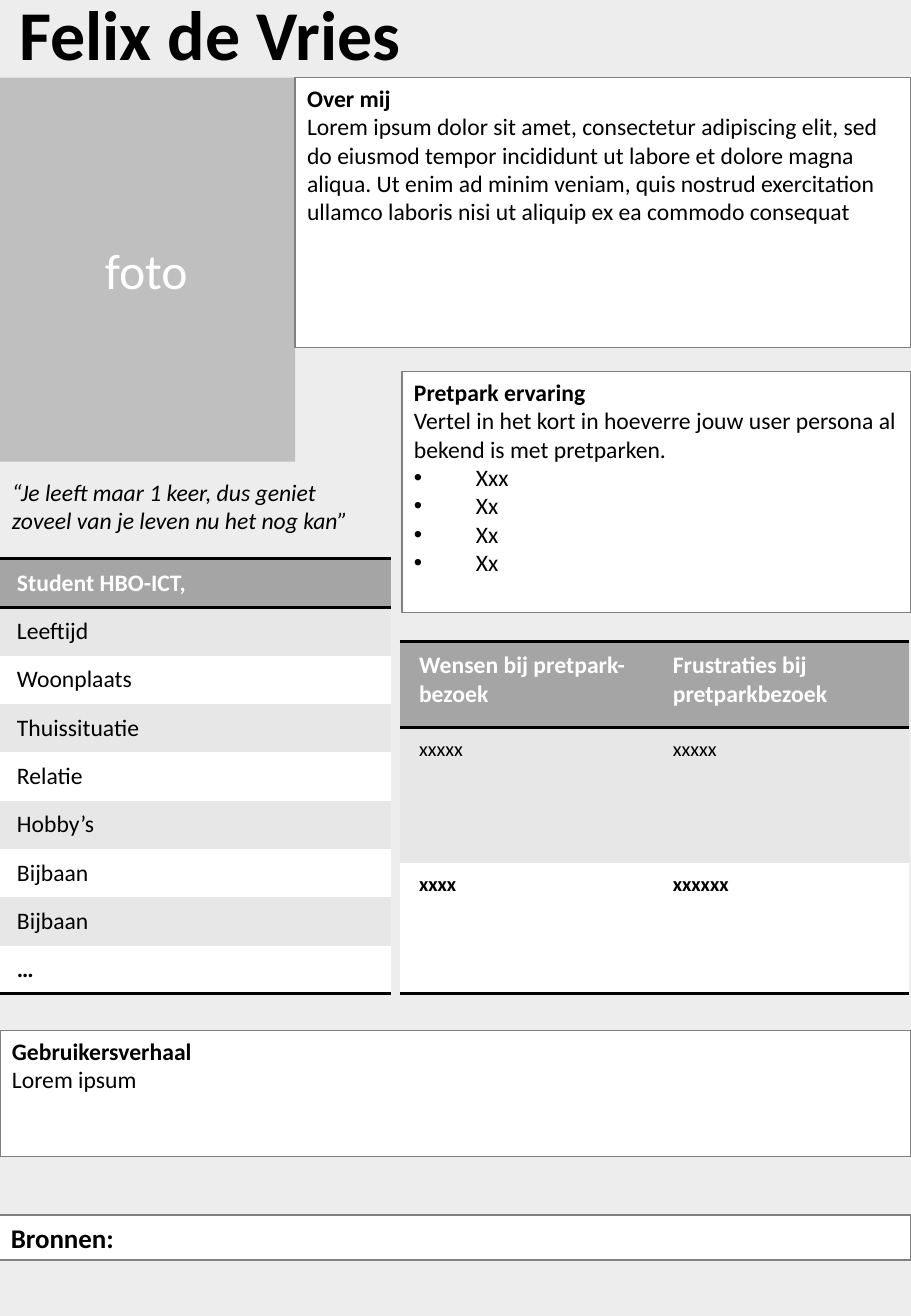
from lxml.etree import SubElement
from pptx import Presentation
from pptx.dml.color import RGBColor
from pptx.enum.shapes import MSO_SHAPE as SHAPE
from pptx.enum.text import MSO_ANCHOR as ANCHOR, MSO_AUTO_SIZE as FIT, PP_ALIGN as ALIGN
from pptx.oxml import parse_xml
from pptx.oxml.ns import nsdecls, qn
from pptx.util import Pt

SCALE = 9144
INDENT = 51
BLACK, WHITE, BAND, HEAD = "000000", "FFFFFF", "E7E7E7", "A5A5A5"
NO_STYLE = "{2D5ABB26-0587-4C30-8999-92F81FD0307C}"


def px(n):
    return round(n * SCALE)


def emu(box):
    return [px(n) for n in box]


def rgb(value):
    return RGBColor.from_string(value)


def fill(target, color):
    target.fill.solid()
    target.fill.fore_color.rgb = rgb(color)


def frame(tf, anchor=ANCHOR.TOP):
    tf.word_wrap = True
    tf.auto_size = FIT.NONE
    tf.vertical_anchor = anchor


def set_margins(target, across, down):
    target.margin_left = target.margin_right = px(across)
    target.margin_top = target.margin_bottom = px(down)


def write(tf, text, size=14, color=BLACK, bold=False, italic=False,
          align=ALIGN.LEFT, spacing=None, bullet=False):
    p = tf.paragraphs[0]
    if p.runs:
        p = tf.add_paragraph()
    p.alignment = align
    if spacing:
        p.line_spacing = spacing
    if bullet:
        pPr = p._p.get_or_add_pPr()
        pPr.set("marL", str(px(INDENT)))
        pPr.set("indent", str(-px(INDENT)))
        SubElement(pPr, qn("a:buFont"), typeface="Arial")
        SubElement(pPr, qn("a:buChar"), char="•")
    r = p.add_run()
    r.text = text
    font = r.font
    font.name, font.size = "Calibri", Pt(size)
    font.bold, font.italic = bold, italic
    font.color.rgb = rgb(color)


def add_name(s, box, text):
    sp = s.shapes.title
    sp.left, sp.top, sp.width, sp.height = emu(box)
    tf = sp.text_frame
    frame(tf, ANCHOR.MIDDLE)
    set_margins(tf, 16, 8)
    write(tf, text, size=41.4, bold=True, spacing=0.7)


def add_quote(s, box, text):
    tf = s.shapes.add_textbox(*emu(box)).text_frame
    frame(tf)
    write(tf, text, italic=True)


def add_rect(s, box, color, line=None, anchor=ANCHOR.TOP):
    sp = s.shapes.add_shape(SHAPE.RECTANGLE, *emu(box))
    sp.shadow.inherit = False
    fill(sp, color)
    if line:
        sp.line.color.rgb = rgb(line)
        sp.line.width = Pt(0.75)
    else:
        sp.line.fill.background()
    frame(sp.text_frame, anchor)
    return sp.text_frame


def add_photo(s, box, text):
    tf = add_rect(s, box, "BFBFBF", anchor=ANCHOR.MIDDLE)
    write(tf, text, size=29.5, color=WHITE, align=ALIGN.CENTER)


def add_panel(s, box, heading, body=None, bullets=(), size=14, align=ALIGN.LEFT):
    tf = add_rect(s, box, WHITE, line="808080")
    write(tf, heading, size=size, bold=True, align=align)
    if body:
        write(tf, body)
    for item in bullets:
        write(tf, item, bullet=True)


def add_borders(cell, sides):
    tcPr = cell._tc.get_or_add_tcPr()
    for i, side in enumerate(sides):
        tcPr.insert(i, parse_xml(
            f'<a:ln{side} {nsdecls("a")} w="{Pt(2)}"><a:solidFill>'
            f'<a:srgbClr val="{BLACK}"/></a:solidFill></a:ln{side}>'))


def add_grid(s, box, cols, heights, rows, body_size=14):
    table = s.shapes.add_table(len(rows), len(cols), *emu(box)).table
    table.first_row = table.horz_banding = False
    table._tbl.tblPr.find(qn("a:tableStyleId")).text = NO_STYLE
    for col, width in zip(table.columns, cols):
        col.width = px(width)
    last = len(rows) - 1
    for i, texts in enumerate(rows):
        table.rows[i].height = px(heights[i])
        header = i == 0
        sides = "TB" if header else "B" if i == last else ""
        for j in range(len(cols)):
            cell = table.cell(i, j)
            fill(cell, HEAD if header else BAND if i % 2 else WHITE)
            add_borders(cell, sides)
            if j < len(texts):
                set_margins(cell, 16, 8)
                write(cell.text_frame, texts[j], size=14 if header else body_size,
                      color=WHITE if header else BLACK, bold=i in (0, last))
            else:
                set_margins(cell, 0, 0)
    if len(rows[0]) < len(cols):
        table.cell(0, 0).merge(table.cell(0, len(cols) - 1))


def main():
    prs = Presentation()
    prs.slide_width, prs.slide_height = px(750), px(1083)
    s = prs.slides.add_slide(prs.slide_layouts[5])
    fill(s.background, "EDEDED")

    add_name(s, (0, 0, 446, 71), "Felix de Vries")
    add_quote(s, (0, 388, 318, 57),
              "“Je leeft maar 1 keer, dus geniet zoveel van je leven nu het nog kan”")
    add_panel(s, (0, 848, 750, 104), "Gebruikersverhaal", "Lorem ipsum")
    add_panel(s, (-1, 1000, 751, 37), "Bronnen:", size=16, align=ALIGN.JUSTIFY)
    add_photo(s, (-2, 64, 245, 316), "foto")

    facts = ["Student HBO-ICT,", "Leeftijd", "Woonplaats", "Thuissituatie", "Relatie",
             "Hobby’s", "Bijbaan", "Bijbaan", "…"]
    add_grid(s, (-2, 460, 324, 358), (139, 185), [358 / len(facts)] * len(facts),
             [[fact] for fact in facts])

    add_panel(s, (331, 306, 419, 198), "Pretpark ervaring",
              "Vertel in het kort in hoeverre jouw user persona al bekend is met pretparken.",
              ("Xxx", "Xx", "Xx", "Xx"))
    add_panel(s, (243, 64, 507, 222), "Over mij",
              "Lorem ipsum dolor sit amet, consectetur adipiscing elit, sed do eiusmod "
              "tempor incididunt ut labore et dolore magna aliqua. Ut enim ad minim veniam, "
              "quis nostrud exercitation ullamco laboris nisi ut aliquip ex ea commodo "
              "consequat")
    add_grid(s, (329, 528, 419, 290), (209, 210), (71, 111, 108),
             [("Wensen bij pretpark- bezoek", "Frustraties bij pretparkbezoek"),
              ("xxxxx", "xxxxx"), ("xxxx", "xxxxxx")], body_size=12)
    prs.save("out.pptx")


if __name__ == "__main__":
    main()
